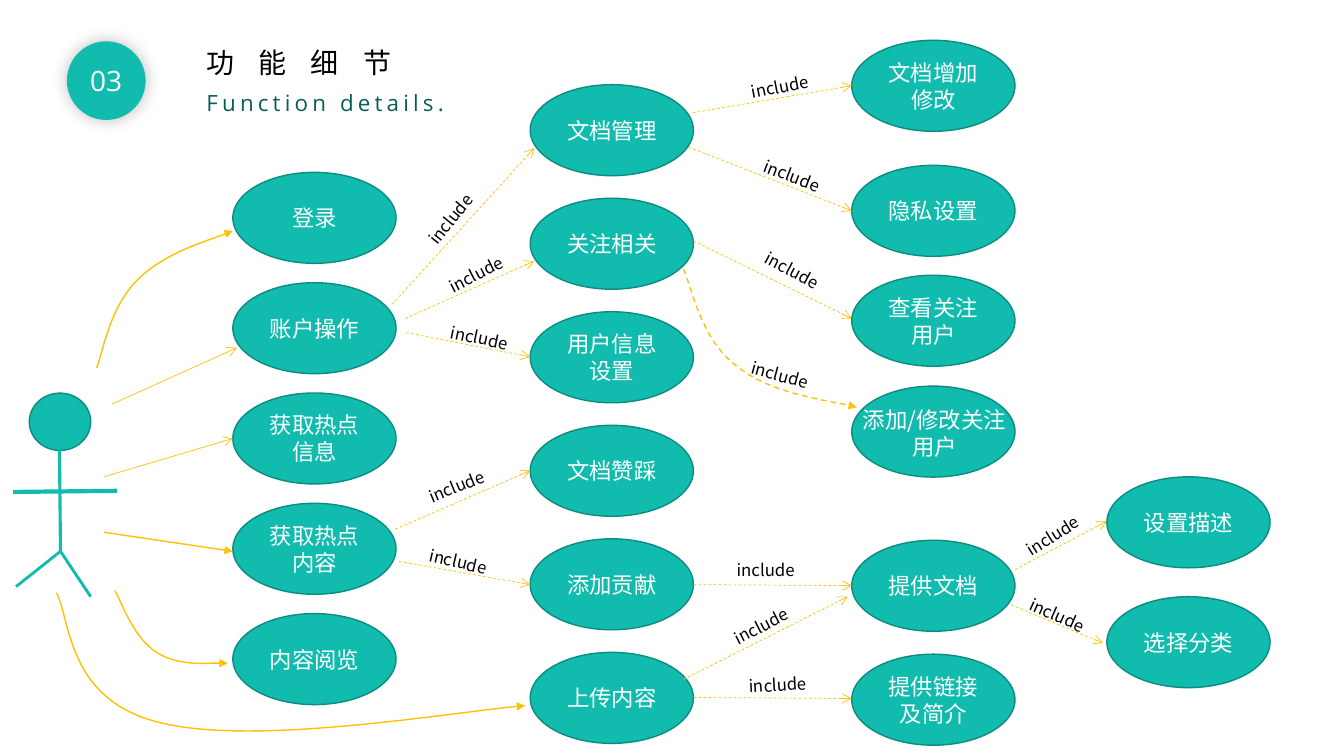
"""Build the use-case slide that details the functions of a document platform."""
import pptx
import pptx.util
import pptx.dml.color
import pptx.enum.dml
import pptx.enum.shapes
import pptx.enum.text
import pptx.oxml
import pptx.oxml.ns

Pt = pptx.util.Pt
RGBColor = pptx.dml.color.RGBColor
qn = pptx.oxml.ns.qn
OVAL = pptx.enum.shapes.MSO_SHAPE.OVAL
STRAIGHT = pptx.enum.shapes.MSO_CONNECTOR.STRAIGHT
LEFT = pptx.enum.text.PP_ALIGN.LEFT
CENTER = pptx.enum.text.PP_ALIGN.CENTER
TOP = pptx.enum.text.MSO_ANCHOR.TOP
MIDDLE = pptx.enum.text.MSO_ANCHOR.MIDDLE

TEAL = RGBColor(0x11, 0xBC, 0xAE)
TEAL_EDGE = RGBColor(0x0D, 0x8B, 0x81)
TEAL_DARK = RGBColor(0x08, 0x5E, 0x57)
AMBER = RGBColor(0xFF, 0xC1, 0x04)
WHITE = RGBColor(0xFF, 0xFF, 0xFF)
BLACK = RGBColor(0x00, 0x00, 0x00)
LATIN_FONT = "Open Sans"
CHINESE_FONT = "Noto Sans CJK SC"


def write(shape, text, size, font, color, align=CENTER, anchor=MIDDLE, spacing=0):
    frame = shape.text_frame
    frame_format = {"word_wrap": True, "vertical_anchor": anchor,
                    "auto_size": pptx.enum.text.MSO_AUTO_SIZE.NONE}
    for name, value in frame_format.items():
        setattr(frame, name, value)
    paragraph = frame.paragraphs[0]
    paragraph.alignment = align
    run = paragraph.add_run()
    run.text = text
    for name, value in {"size": Pt(size), "name": font, "bold": False}.items():
        setattr(run.font, name, value)
    run.font.color.rgb = color
    properties = run.font._element
    properties.set("spc", str(spacing * 100))
    east_asian = properties.makeelement(qn("a:ea"), {"typeface": font})
    properties.find(qn("a:latin")).addnext(east_asian)


def draw_stroke(shape, color, width, head=None, dashed=False):
    shape.line.color.rgb = color
    shape.line.width = Pt(width)
    if dashed:
        shape.line.dash_style = pptx.enum.dml.MSO_LINE.DASH
    properties = shape._element.spPr
    if head:
        stroke = properties.find(qn("a:ln"))
        stroke.append(stroke.makeelement(qn("a:tailEnd"), {"type": head}))
    if properties.find(qn("a:effectLst")) is None:
        properties.append(properties.makeelement(qn("a:effectLst"), {}))


deck = pptx.Presentation()
deck.slide_width, deck.slide_height = Pt(960), Pt(540)
slide = deck.slides.add_slide(deck.slide_layouts[5])
shapes = slide.shapes

badge = shapes.add_shape(OVAL, Pt(47.8), Pt(29.5), Pt(56.2), Pt(56.2))
badge.fill.solid()
badge.fill.fore_color.rgb = TEAL
badge.line.fill.background()
badge.shadow.inherit = False
glow = pptx.oxml.parse_xml(
    f'<a:outerShdw {pptx.oxml.ns.nsdecls("a")} blurRad="{Pt(12)}" dist="0" dir="0">'
    '<a:srgbClr val="000000"><a:alpha val="26000"/></a:srgbClr></a:outerShdw>')
badge._element.spPr.find(qn("a:effectLst")).append(glow)
write(badge, "03", 20, LATIN_FONT, WHITE)

heading = shapes.title
bounds = {"left": 140.4, "top": 28.8, "width": 218.9, "height": 31.7}
for name, value in bounds.items():
    setattr(heading, name, Pt(value))
write(heading, "功 能 细 节", 20, LATIN_FONT, BLACK, LEFT, TOP, 6)
subheading = shapes.add_textbox(Pt(140.4), Pt(59.8), Pt(307.4), Pt(26.6))
write(subheading, "Function details.", 16, LATIN_FONT, TEAL_DARK, LEFT, TOP, 3)

use_case_columns = [
    (166.3, [123.1 + 78.8 * row for row in range(5)],
     ["登录", "账户操作", "获取热点信息", "获取热点内容", "内容阅览"]),
    (378.7, [60.5 + 81.1 * row for row in range(6)],
     ["文档管理", "关注相关", "用户信息设置", "文档赞踩", "添加贡献", "上传内容"]),
    (608.4, [28.8, 118.1, 196.6, 275.8, 385.9, 467.3],
     ["文档增加修改", "隐私设置", "查看关注用户", "", "提供文档", "提供链接及简介"]),
    (790.6, [340.6, 426.2], ["设置描述", "选择分类"]),
]
ovals = [(left, top, 116.6, 65, caption)
         for left, tops, captions in use_case_columns
         for top, caption in zip(tops, captions)]
actor_head = (20.9, 280.8, 43.9, 41, "")
for left, top, width, height, caption in ovals + [actor_head]:
    oval = shapes.add_shape(OVAL, Pt(left), Pt(top), Pt(width), Pt(height))
    oval.fill.solid()
    oval.fill.fore_color.rgb = TEAL
    oval.shadow.inherit = False
    draw_stroke(oval, TEAL_EDGE, 1)
    if caption:
        write(oval, caption, 16, CHINESE_FONT, WHITE)
wide_caption = shapes.add_textbox(Pt(609.1), Pt(286.6), Pt(116.6), Pt(46.1))
write(wide_caption, "添加/修改关注用户", 16, CHINESE_FONT, WHITE)

actor_limbs = [
    ((9.4, 351.4, 83.5, 350.6), 3),
    ((42.5, 321.8, 43.2, 393.8), 2.25),
    ((11.5, 419, 43.2, 393.8), 2),
    ((64.8, 426.2, 43.2, 393.8), 2),
]
actor_arrows = [
    ((74.2, 380.2, 166.3, 393.8), 1, "triangle"),
    ((74.2, 340.6, 166.3, 313.2), 0.5, "arrow"),
    ((79.9, 288.7, 169.2, 248.4), 0.5, "arrow"),
]
includes = [
    ((280.1, 217.4, 381.6, 105.8), (293, 143.3, 309)),
    ((289.4, 227.5, 381.6, 186.5), (311.8, 183.6, 333)),
    ((290.2, 237.6, 378.7, 254.9), (314.6, 231.1, 12)),
    ((282.2, 378, 378.7, 336.2), (298.1, 335.5, 338)),
    ((285.1, 401, 378.7, 417.6), (299.5, 391, 13)),
    ((495.4, 417.6, 608.4, 418.3), (519.1, 396, 0)),
    ((488.2, 485.3, 605.5, 426.2), (515.5, 434.9, 333)),
    ((495.4, 498.2, 608.4, 499), (527.8, 478.1, 357)),
    ((495.4, 172.1, 608.4, 227.5), (537.8, 183.6, 28)),
    ((491.8, 105.1, 608.4, 150.5), (537.8, 115.9, 21)),
    ((494.6, 80.6, 608.4, 61.2), (529.2, 50.4, 349)),
    ((725, 406.8, 790.6, 372.2), (723.6, 370.1, 328)),
    ((722.2, 432, 787.7, 459.4), (727.2, 429.8, 24)),
]
straight_strokes = (
    [(ends, TEAL, width, None, False) for ends, width in actor_limbs]
    + [(ends, AMBER, width, head, False) for ends, width, head in actor_arrows]
    + [(ends, AMBER, 0.5, "arrow", True) for ends, _ in includes])
for ends, color, width, head, dashed in straight_strokes:
    link = shapes.add_connector(STRAIGHT, *[Pt(value) for value in ends])
    draw_stroke(link, color, width, head, dashed)

curved_arrows = [
    ([(40.3, 423.4), (50.4, 442.1), (47.5, 500.4), (114.5, 516.2),
      (181.4, 532.8), (324.7, 508.3), (375.1, 504)], False),
    ([(69.1, 262.8), (73.4, 251.3), (78.5, 219.6), (97.9, 200.2),
      (117.4, 180.7), (153.4, 170.6), (166.3, 164.9)], False),
    ([(488.2, 192.2), (493.9, 205.2), (500.4, 241.2), (524.9, 260.6),
      (549.4, 280.8), (595.4, 286.6), (612, 290.9)], True),
    ([(82.1, 421.9), (87.1, 430.6), (95, 455), (111.6, 465.8),
      (127.4, 475.9), (152.6, 473), (162.7, 473.8)], False),
]
for controls, dashed in curved_arrows:
    start, *others = [(Pt(x), Pt(y)) for x, y in controls]
    builder = shapes.build_freeform(*start)
    builder.add_line_segments(others, close=False)
    curve = builder.convert_to_shape()
    curve.fill.background()
    curve.shadow.inherit = False
    draw_stroke(curve, AMBER, 1, "triangle", dashed)
    segments = list(curve._element.iter(qn("a:lnTo")))
    for first in range(0, len(segments), 3):
        bezier = segments[first].makeelement(qn("a:cubicBezTo"), {})
        segments[first].addprevious(bezier)
        for segment in segments[first:first + 3]:
            bezier.append(segment[0])
            segment.getparent().remove(segment)

curved_include = (529.2, 257.8, 15)
for left, top, angle in [place for _, place in includes] + [curved_include]:
    label = shapes.add_textbox(Pt(left), Pt(top), Pt(61.9), Pt(21.6))
    label.rotation = angle
    write(label, "include", 12, CHINESE_FONT, BLACK, LEFT, TOP)

deck.save("out.pptx")
